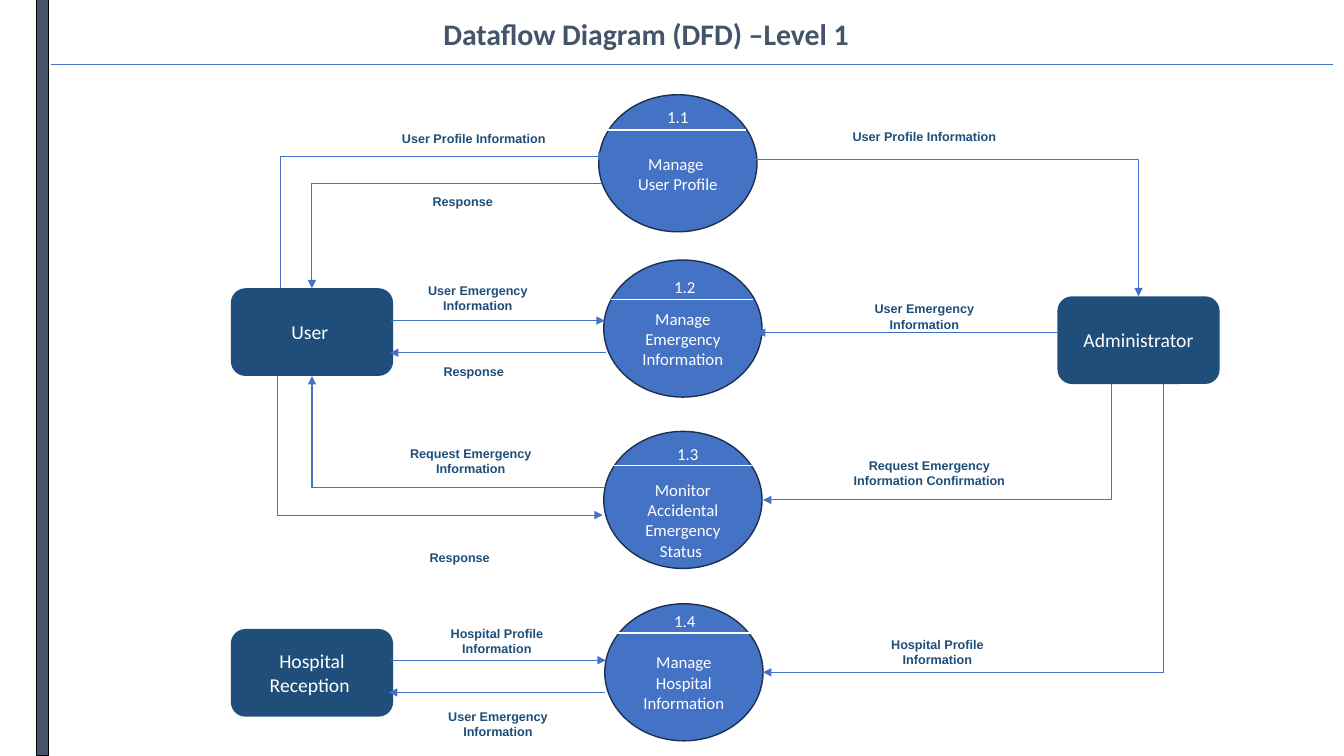
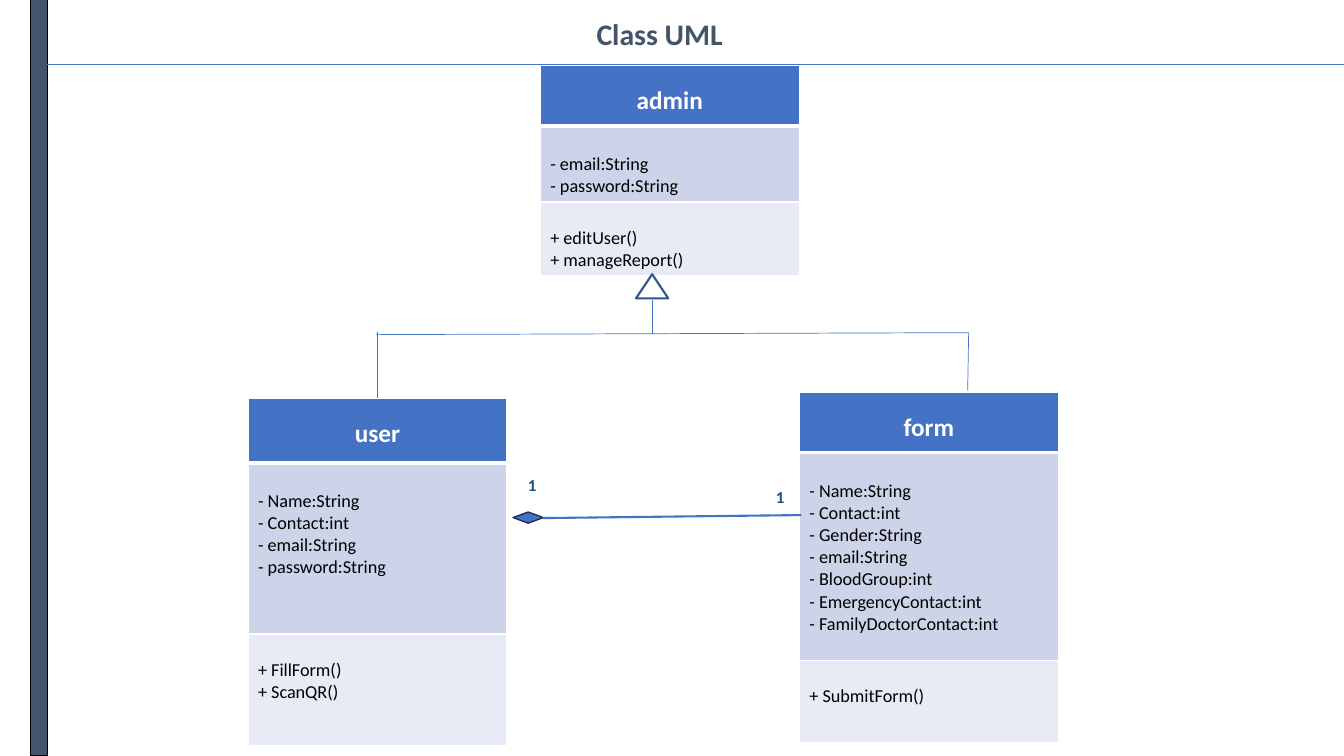
from dataclasses import dataclass

from lxml.etree import SubElement
from pptx import Presentation
from pptx.dml.color import RGBColor
from pptx.enum.shapes import MSO_CONNECTOR as CONNECTOR, MSO_SHAPE as SHAPE
from pptx.enum.text import MSO_ANCHOR as ANCHOR, PP_ALIGN as ALIGN
from pptx.oxml.ns import qn
from pptx.util import Pt


@dataclass(frozen=True)
class Theme:
    slate: str = "44546A"
    navy: str = "1E4E79"
    blue: str = "4472C4"
    outline: str = "1C3052"
    triangle: str = "325491"
    row_dark: str = "CDD4EA"
    row_light: str = "E8EBF5"
    white: str = "FFFFFF"
    black: str = "000000"
    font: str = "Calibri"
    label_font: str = "Arial"
    title: float = 21.3
    header: int = 18
    entity: int = 14
    member: int = 13
    process: int = 12
    label: int = 9


T = Theme()
PX = 9144  # 100 px to the inch
SLIDE_H = 750
INSET_X, INSET_Y = 10, 5
TOP, BOTTOM = 0, 2  # connection sites of a box

# ---------- Content: data flow diagram ----------
DFD_TITLE = ("Dataflow Diagram (DFD) –Level 1", 430, 500)
DFD_BAR = (36, 12)
DFD_RULE = (51, 1322)

ENTITY_W, ENTITY_H = 161, 87
ENTITIES = [  # text, left, top
    ("User ", 229, 286),
    ("Hospital Reception ", 229, 624),
    ("Administrator", 1049, 294),
]
USER, RECEPTION, ADMIN = range(3)

PROCESS_W, PROCESS_H = 157, 136
DIVIDER_W = 141
PROCESSES = [  # number, lines, left, top, text drop, number (left, top), divider (left, y)
    ("1.1", ["Manage ", "User Profile"], 594, 94, 20, (652, 101), (599, 129)),
    ("1.2", ["Manage Emergency Information"], 599, 258, 20, (659, 270), (606, 297)),
    ("1.3", ["Monitor Accidental Emergency Status "], 599, 428, 40, (662, 435), (608, 462)),
    ("1.4", ["Manage Hospital Information"], 600, 599, 20, (659, 601), (606, 628)),
]

STRAIGHT_FLOWS = [  # from, to
    ((388, 318), (600, 318)),
    ((601, 350), (387, 350)),
    ((388, 655), (601, 655)),
    ((600, 687), (386, 687)),
    ((1049, 330), (751, 330)),
]
VERTICAL_FIRST_FLOWS = [  # from, to
    ((278, 286), (602, 155)),
    ((275, 373), (598, 511)),
    ((1103, 381), (757, 496)),
    ((1154, 381), (757, 667)),
]
HORIZONTAL_FIRST_FLOWS = [  # from, to, entity, connection site
    ((597, 182), (309, 286), USER, TOP),
    ((599, 484), (309, 373), USER, BOTTOM),
    ((750, 158), (1130, 294), ADMIN, TOP),
]

LABEL_W = 170
FLOW_LABELS = [  # text, centre, top
    ("User Profile Information", 470, 125),
    ("Response", 459, 187),
    ("Response", 470, 356),
    ("User Emergency Information", 474, 276),
    ("Request Emergency Information", 467, 437),
    ("Response", 456, 541),
    ("User Profile Information", 917, 123),
    ("User Emergency Information", 917, 294),
    ("Request Emergency Information Confirmation", 922, 449),
    ("Hospital Profile Information", 493, 616),
    ("User Emergency Information", 494, 698),
    ("Hospital Profile Information", 930, 627),
]

# ---------- Content: class diagram ----------
UML_TITLE = ("Class UML", 582, 300)
UML_BAR = (30, 17)
UML_RULE = (47, 1333)

CLASS_W = 257
CLASSES = [  # name, attributes, methods, left, top, row heights
    ("admin", ["- email:String", "- password:String"],
     ["+ editUser()", "+ manageReport()"], 536, 65, (60, 75, 73)),
    ("user", ["- Name:String", "- Contact:int", "- email:String", "- password:String"],
     ["+ FillForm()", "+ ScanQR()"], 246, 395, (64, 170, 111)),
    ("form", ["- Name:String", "- Contact:int", "- Gender:String", "- email:String",
              "- BloodGroup:int", "- EmergencyContact:int", "- FamilyDoctorContact:int"],
     ["+ SubmitForm()"], 793, 389, (60, 206, 82)),
]
INHERITANCE = [  # from, to
    ((647, 298), (647, 331)),
    ((373, 332), (961, 330)),
    ((374, 329), (374, 395)),
    ((961, 330), (960, 387)),
]
COMPOSITION = ((538, 514), (795, 511))
MULTIPLICITIES = [("1", 528, 466), ("1", 774, 478)]  # text, centre, top


# ---------- Helpers ----------
def px(n):
    return int(n * PX)


def rgb(value):
    return RGBColor.from_string(value)


def write(tf, lines, size, color, bold=False, align=ALIGN.LEFT, font=T.font,
          spacing=None):
    for i, line in enumerate(lines):
        p = tf.paragraphs[0] if i == 0 else tf.add_paragraph()
        p.alignment = align
        if spacing:
            p.line_spacing = spacing
        r = p.add_run()
        r.text = line
        r.font.name, r.font.size, r.font.bold = font, Pt(size), bold
        r.font.color.rgb = rgb(color)


def add_text(s, box, text, size, color, anchor=ANCHOR.TOP, **style):
    tf = s.shapes.add_textbox(*map(px, box)).text_frame
    tf.word_wrap = True
    tf.vertical_anchor = anchor
    write(tf, [text], size, color, **style)


def add_shape(s, kind, box, fill, line=None, weight=1):
    sp = s.shapes.add_shape(kind, *map(px, box))
    sp.shadow.inherit = False
    sp.fill.solid()
    sp.fill.fore_color.rgb = rgb(fill)
    if line:
        sp.line.color.rgb = rgb(line)
        sp.line.width = Pt(weight)
    else:
        sp.line.fill.background()
    return sp


def fill_shape_text(sp, lines, size, drop=0):
    tf = sp.text_frame
    tf.word_wrap = True
    tf.vertical_anchor = ANCHOR.MIDDLE
    tf.margin_left = tf.margin_right = px(INSET_X)
    tf.margin_top, tf.margin_bottom = px(INSET_Y + drop), px(INSET_Y)
    write(tf, lines, size, T.white, align=ALIGN.CENTER)


def add_line(s, start, end, color=T.blue, weight=0.75, arrow=False,
             kind=CONNECTOR.STRAIGHT):
    c = s.shapes.add_connector(kind, *map(px, start + end))
    c.line.color.rgb = rgb(color)
    c.line.width = Pt(weight)
    sp_pr = c._element.spPr
    if arrow:
        SubElement(sp_pr.find(qn("a:ln")), qn("a:tailEnd"), type="triangle")
    SubElement(sp_pr, qn("a:effectLst"))
    return c


def add_elbow(s, start, end, target=None, site=None):
    """One-corner arrow: horizontal first into a target site, else vertical first."""
    c = add_line(s, start, end, arrow=True, kind=CONNECTOR.ELBOW)
    sp_pr = c._element.spPr
    geom = sp_pr.find(qn("a:prstGeom"))
    if target is not None:
        c.end_connect(target, site)
        geom.set("prst", "bentConnector2")
    else:
        SubElement(geom.find(qn("a:avLst")), qn("a:gd"), name="adj1", fmla="val 0")
    # A vertical flip is stored as a half turn plus a horizontal flip
    xfrm = sp_pr.find(qn("a:xfrm"))
    if xfrm.get("flipV") == "1":
        xfrm.set("rot", "10800000")
        xfrm.set("flipH", "0" if xfrm.get("flipH") == "1" else "1")
        xfrm.set("flipV", "0")


def add_borders(cell, top, bottom):
    tc_pr = cell._tc.get_or_add_tcPr()
    for tag, weight in (("lnL", 1), ("lnR", 1), ("lnT", top), ("lnB", bottom)):
        ln = SubElement(tc_pr, qn(f"a:{tag}"), w=str(Pt(weight)))
        fill = SubElement(ln, qn("a:solidFill"))
        SubElement(fill, qn("a:srgbClr"), val=T.white)


def add_class(s, name, attributes, methods, left, top, heights):
    frame = s.shapes.add_table(3, 1, px(left), px(top), px(CLASS_W), px(sum(heights)))
    table = frame.table
    table.columns[0].width = px(CLASS_W)
    head = dict(size=T.header, color=T.white, bold=True, align=ALIGN.CENTER, spacing=1.5)
    body = dict(size=T.member, color=T.black)
    rows = [  # lines, fill, text drop, border top and bottom, text style
        ([name], T.blue, 0, (1, 3), head),
        (attributes, T.row_dark, 22, (3, 1), body),
        (methods, T.row_light, 20, (1, 1), body),
    ]
    for i, (lines, fill, drop, borders, style) in enumerate(rows):
        table.rows[i].height = px(heights[i])
        cell = table.cell(i, 0)
        cell.margin_left = cell.margin_right = px(INSET_X)
        cell.margin_top, cell.margin_bottom = px(INSET_Y + drop), px(INSET_Y)
        add_borders(cell, *borders)
        cell.fill.solid()
        cell.fill.fore_color.rgb = rgb(fill)
        write(cell.text_frame, lines, **style)


def new_slide(prs, title, bar, rule):
    """Blank slide with the shared title, side bar and rule."""
    s = prs.slides.add_slide(prs.slide_layouts[6])
    text, left, width = title
    add_text(s, (left, 13, width, 46), text, T.title, T.slate,
             anchor=ANCHOR.MIDDLE, bold=True, spacing=0.9)
    bar_left, bar_w = bar
    add_shape(s, SHAPE.RECTANGLE, (bar_left, 0, bar_w, SLIDE_H), T.slate, T.black, 0.75)
    add_line(s, (rule[0], 64), (rule[1], 64))
    return s


# ---------- Slides ----------
def build_dfd(prs):
    s = new_slide(prs, DFD_TITLE, DFD_BAR, DFD_RULE)
    boxes = []
    for text, left, top in ENTITIES:
        sp = add_shape(s, SHAPE.FLOWCHART_ALTERNATE_PROCESS,
                       (left, top, ENTITY_W, ENTITY_H), T.navy)
        fill_shape_text(sp, [text], T.entity)
        boxes.append(sp)
    for number, lines, left, top, drop, number_at, (div_left, div_y) in PROCESSES:
        sp = add_shape(s, SHAPE.FLOWCHART_CONNECTOR,
                       (left, top, PROCESS_W, PROCESS_H), T.blue, T.outline)
        fill_shape_text(sp, lines, T.process, drop)
        add_text(s, (*number_at, 42, 30), number, T.process, T.white)
        add_line(s, (div_left, div_y), (div_left + DIVIDER_W, div_y), T.white, 1)
    for start, end in STRAIGHT_FLOWS:
        add_line(s, start, end, arrow=True)
    for start, end in VERTICAL_FIRST_FLOWS:
        add_elbow(s, start, end)
    for start, end, entity, site in HORIZONTAL_FIRST_FLOWS:
        add_elbow(s, start, end, boxes[entity], site)
    for text, centre, top in FLOW_LABELS:
        add_text(s, (centre - LABEL_W // 2, top, LABEL_W, 25), text, T.label, T.navy,
                 bold=True, align=ALIGN.CENTER, font=T.label_font)


def build_uml(prs):
    s = new_slide(prs, UML_TITLE, UML_BAR, UML_RULE)
    for uml_class in CLASSES:
        add_class(s, *uml_class)
    # Composition between user and form
    add_shape(s, SHAPE.FLOWCHART_DECISION, (509, 508, 30, 11), T.blue, T.outline)
    add_line(s, *COMPOSITION, weight=1.5)
    for text, centre, top in MULTIPLICITIES:
        add_text(s, (centre - 64, top, 128, 44), text, T.process, T.navy,
                 bold=True, align=ALIGN.CENTER)
    # Inheritance from admin
    add_shape(s, SHAPE.ISOSCELES_TRIANGLE, (631, 272, 32, 24), T.white, T.triangle, 1.5)
    for start, end in INHERITANCE:
        add_line(s, start, end, weight=0.5)


def main():
    prs = Presentation()
    prs.slide_width, prs.slide_height = px(4000) // 3, px(SLIDE_H)
    build_dfd(prs)
    build_uml(prs)
    prs.save("out.pptx")


if __name__ == "__main__":
    main()
